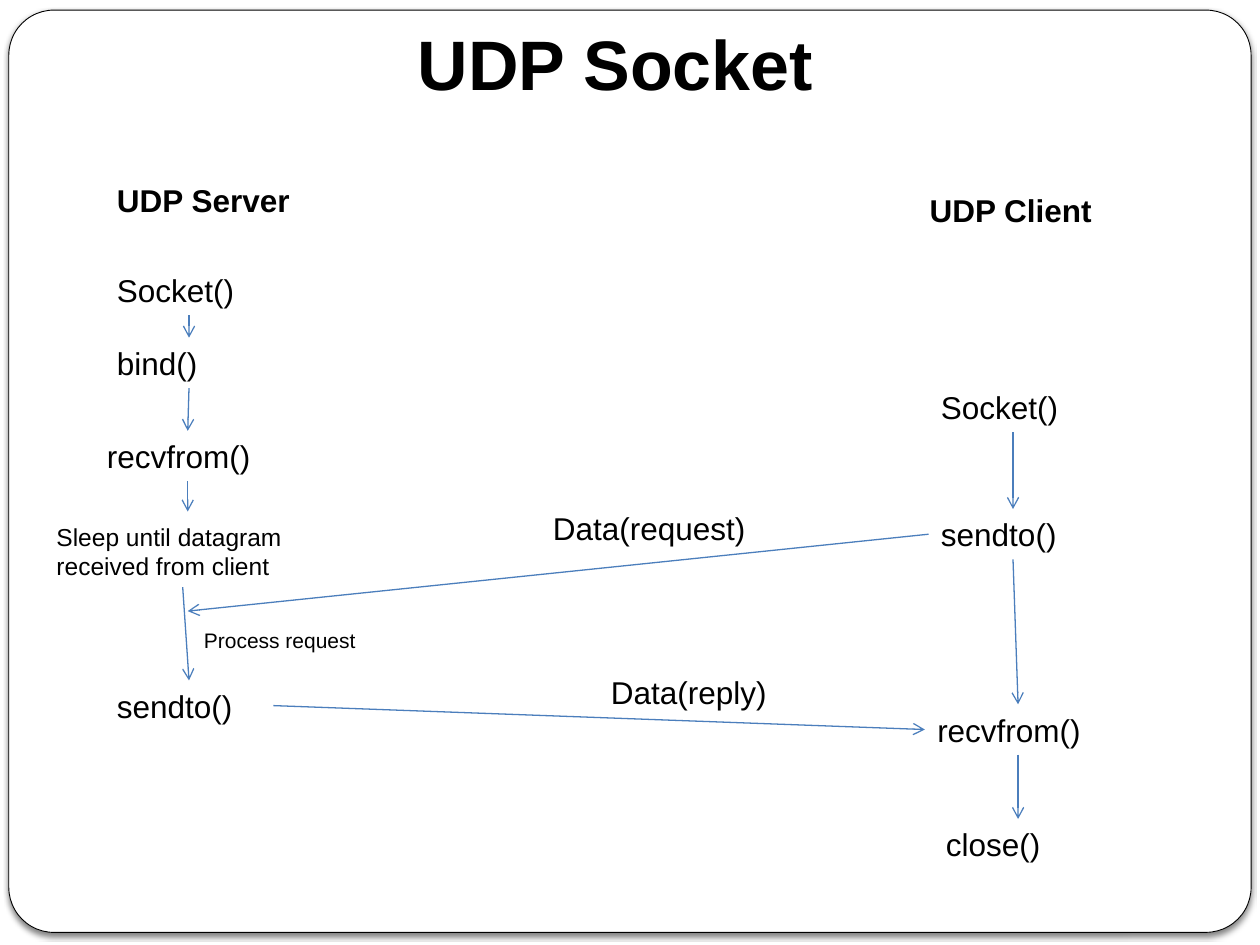
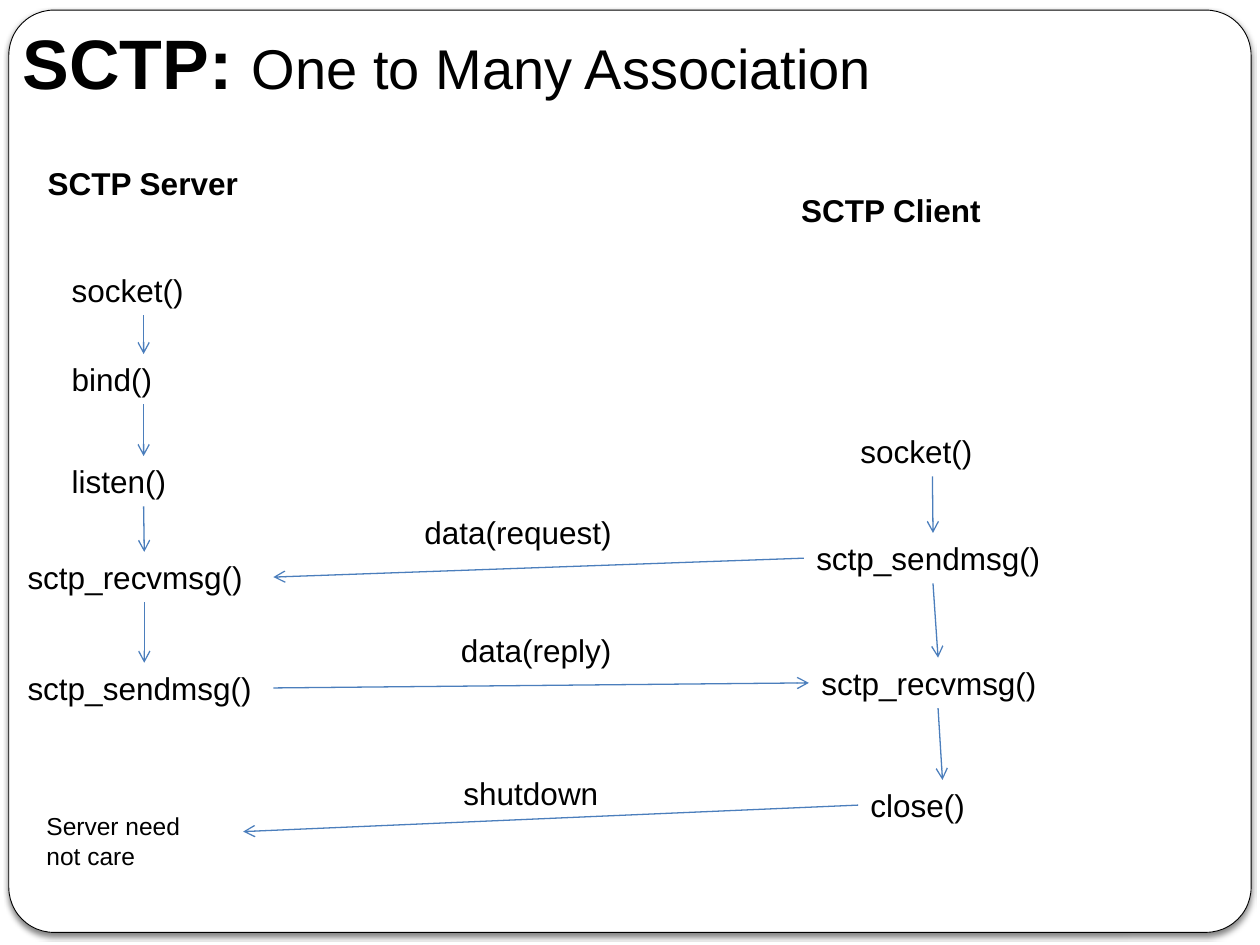
from dataclasses import dataclass

from lxml.etree import SubElement
from pptx import Presentation
from pptx.dml.color import RGBColor
from pptx.enum.shapes import MSO_CONNECTOR, MSO_SHAPE
from pptx.enum.text import MSO_ANCHOR, MSO_AUTO_SIZE, PP_ALIGN
from pptx.oxml import parse_xml
from pptx.oxml.ns import nsdecls, qn
from pptx.util import Inches, Pt

FONT = "Arial"
BLACK, WHITE, ARROW_BLUE = "000000", "FFFFFF", "4B7EBC"
TOP, LEFT, BOTTOM, RIGHT = range(4)
INNER_SIDE = {"server": RIGHT, "client": LEFT}
BOX_HEIGHT = {18: 0.4, 14: 0.57, 12: 0.3}


@dataclass
class Label:
    text: str
    left: float
    top: float
    width: float = 1.34
    size: int = 18
    bold: bool = False
    entry: tuple = None  # where the arrow from the step above ends, if not on the box


@dataclass
class Message:
    label: Label
    sender: tuple    # (role, step)
    receiver: tuple  # (role, step), or a point in inches


SLIDES = [
    {
        "title": [("UDP Socket", 40, True)],
        "title_box": (0.12, 0.13, 9.53, 0.73),
        "title_align": PP_ALIGN.CENTER,
        "headings": [
            Label("UDP Server", 0.83, 1.39, 1.59, bold=True),
            Label("UDP Client", 7.28, 1.47, 1.5, bold=True),
        ],
        "flows": {
            "server": [
                Label("Socket()", 0.83, 2.1),
                Label("bind()", 0.83, 2.68),
                Label("recvfrom()", 0.75, 3.42, 1.48),
                Label("Sleep until datagram received from client",
                      0.35, 4.09, 2.2, 14, entry=(1.49, 4.06)),
                Label("sendto()", 0.83, 5.4),
            ],
            "client": [
                Label("Socket()", 7.37, 3.03),
                Label("sendto()", 7.37, 4.04),
                Label("recvfrom()", 7.34, 5.59, 1.48),
                Label("close()", 7.41, 6.5),
            ],
        },
        "notes": [Label("Process request", 1.52, 4.93, 1.51, 12)],
        "messages": [
            Message(Label("Data(request)", 4.29, 3.99, 1.81),
                    ("client", "sendto()"), (1.49, 4.85)),
            Message(Label("Data(reply)", 4.75, 5.29, 1.67),
                    ("server", "sendto()"), ("client", "recvfrom()")),
        ],
    },
    {
        "title": [("SCTP: ", 40, True), ("One to Many Association", 32, False)],
        "title_box": (0.08, 0.13, 9.8, 0.71),
        "title_align": PP_ALIGN.JUSTIFY,
        "headings": [
            Label("SCTP Server", 0.28, 1.25, 1.73, bold=True),
            Label("SCTP Client", 6.26, 1.47, 1.64, bold=True),
        ],
        "flows": {
            "server": [
                Label("socket()", 0.47, 2.1),
                Label("bind()", 0.47, 2.81),
                Label("listen()", 0.47, 3.62),
                Label("sctp_recvmsg()", 0.12, 4.38, 2.05),
                Label("sctp_sendmsg()", 0.12, 5.26, 2.05),
            ],
            "client": [
                Label("socket()", 6.73, 3.38),
                Label("sctp_sendmsg()", 6.38, 4.23, 2.05),
                Label("sctp_recvmsg()", 6.42, 5.22, 2.05),
                Label("close()", 6.81, 6.19),
            ],
        },
        "notes": [Label("Server need not care", 0.27, 6.39, 1.42, 14)],
        "messages": [
            Message(Label("data(request)", 3.27, 4.02, 1.81),
                    ("client", "sctp_sendmsg()"), ("server", "sctp_recvmsg()")),
            Message(Label("data(reply)", 3.56, 4.96, 1.81),
                    ("server", "sctp_sendmsg()"), ("client", "sctp_recvmsg()")),
            Message(Label("shutdown", 3.58, 6.09, 1.81),
                    ("client", "close()"), (1.93, 6.6)),
        ],
    },
]


def color(hex_string):
    return RGBColor.from_string(hex_string)


def format_run(run, size, bold):
    run.font.name = FONT
    run.font.size = Pt(size)
    run.font.bold = bold
    run.font.color.rgb = color(BLACK)


def add_master_frame(prs, slide):
    """Draw the rounded frame and move it behind everything on the master."""
    frame = slide.shapes.add_shape(
        MSO_SHAPE.ROUNDED_RECTANGLE, *map(Inches, (0.07, 0.08, 9.86, 7.32)))
    frame.adjustments[0] = 0.049
    frame.fill.solid()
    frame.fill.fore_color.rgb = color(WHITE)
    frame.line.color.rgb = color(BLACK)
    frame.line.width = Pt(0.5)
    frame.element.spPr.append(parse_xml(
        f'<a:effectLst {nsdecls("a")}>'
        f'<a:outerShdw blurRad="{Pt(3)}" dist="{Pt(2)}" dir="5400000" rotWithShape="0">'
        f'<a:srgbClr val="{BLACK}"><a:alpha val="50000"/></a:srgbClr>'
        '</a:outerShdw></a:effectLst>'))
    frame.element.nvSpPr.cNvPr.set("id", "100")
    prs.slide_master.element.cSld.spTree.insert(2, frame.element)


def set_title(slide, parts, box, align):
    title = slide.shapes.title
    title.left, title.top, title.width, title.height = map(Inches, box)
    frame = title.text_frame
    frame.auto_size = MSO_AUTO_SIZE.NONE
    frame.vertical_anchor = MSO_ANCHOR.MIDDLE
    paragraph = frame.paragraphs[0]
    paragraph.alignment = align
    for text, size, bold in parts:
        run = paragraph.add_run()
        run.text = text
        format_run(run, size, bold)


def add_label(slide, label, wrap=True):
    box = slide.shapes.add_textbox(*map(Inches, (
        label.left, label.top, label.width, BOX_HEIGHT[label.size])))
    frame = box.text_frame
    frame.word_wrap = wrap
    frame.auto_size = MSO_AUTO_SIZE.SHAPE_TO_FIT_TEXT
    frame.text = label.text
    format_run(frame.paragraphs[0].runs[0], label.size, label.bold)
    return box


def add_arrow(slide, source, source_side, target, target_side=None):
    """Join source to target, which is a box, or a point if it has no side."""
    point = (0, 0) if target_side is not None else map(Inches, target)
    arrow = slide.shapes.add_connector(MSO_CONNECTOR.STRAIGHT, 0, 0, *point)
    arrow.begin_connect(source, source_side)
    if target_side is not None:
        arrow.end_connect(target, target_side)
    arrow.line.color.rgb = color(ARROW_BLUE)
    arrow.line.width = Pt(0.75)
    SubElement(arrow.line._get_or_add_ln(), qn("a:tailEnd"), type="arrow")
    SubElement(arrow.element.spPr, qn("a:effectLst"))


def add_flow(slide, role, steps):
    """Stack the steps with arrows between them; return their boxes by (role, step)."""
    boxes = [add_label(slide, step) for step in steps]
    for upper, lower, step in zip(boxes, boxes[1:], steps[1:]):
        if step.entry:
            add_arrow(slide, upper, BOTTOM, step.entry)
        else:
            add_arrow(slide, upper, BOTTOM, lower, TOP)
    return {(role, step.text): box for step, box in zip(steps, boxes)}


def add_message(slide, message, boxes):
    sender = boxes[message.sender], INNER_SIDE[message.sender[0]]
    receiver = message.receiver
    if receiver in boxes:
        add_arrow(slide, *sender, boxes[receiver], INNER_SIDE[receiver[0]])
    else:
        add_arrow(slide, *sender, receiver)
    add_label(slide, message.label)


def build_slide(slide, content):
    set_title(slide, content["title"], content["title_box"], content["title_align"])
    for heading in content["headings"]:
        add_label(slide, heading, wrap=False)
    boxes = {}
    for role, steps in content["flows"].items():
        boxes.update(add_flow(slide, role, steps))
    for note in content["notes"]:
        add_label(slide, note)
    for message in content["messages"]:
        add_message(slide, message, boxes)


def main():
    prs = Presentation()
    prs.slide_width, prs.slide_height = Inches(10), Inches(7.5)
    title_only = prs.slide_layouts[5]
    for content in SLIDES:
        build_slide(prs.slides.add_slide(title_only), content)
    add_master_frame(prs, prs.slides[0])
    prs.save("out.pptx")


if __name__ == "__main__":
    main()
